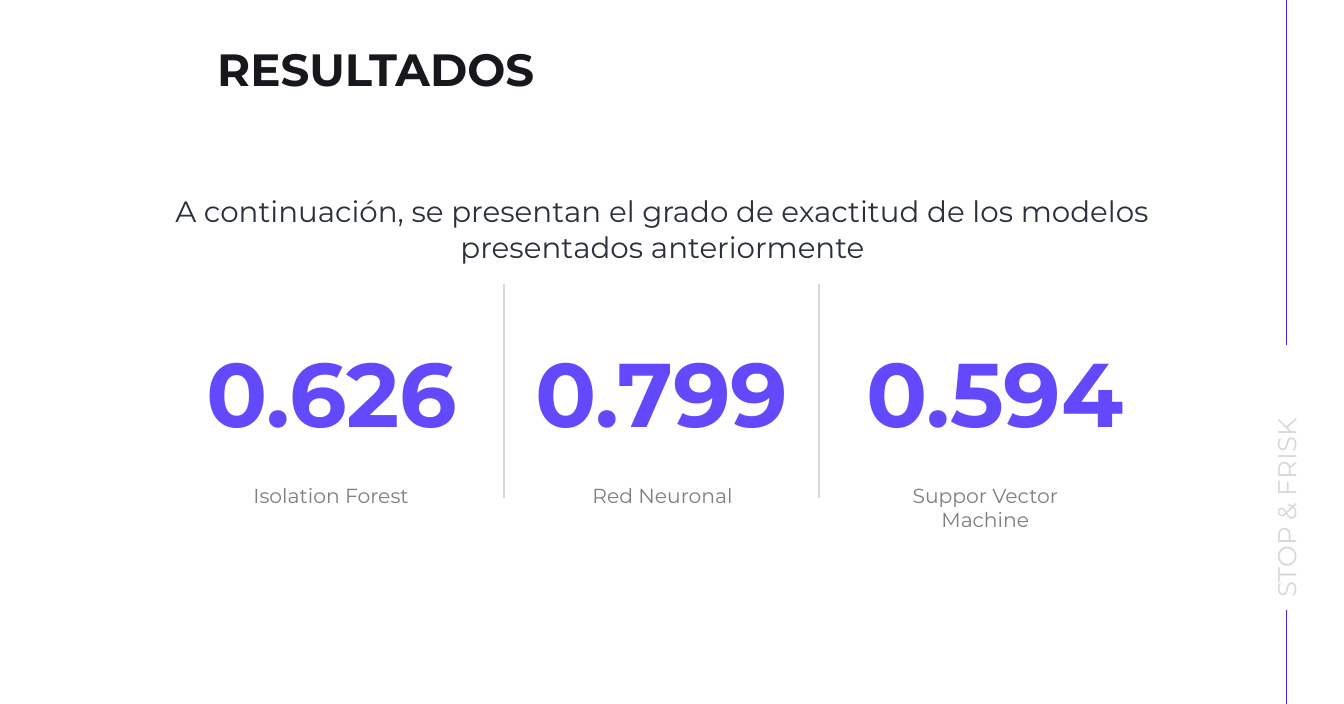
from lxml import etree
from pptx import Presentation
from pptx.dml.color import RGBColor
from pptx.enum import shapes, text
from pptx.oxml.ns import qn
from pptx.util import Cm, Pt

FONT = "Montserrat"
COLORS = {
    "title": "16181C", "intro": "2B303C", "score": "6349FC",
    "label": "7F7F7F", "pale": "D8D8D8", "accent": "4B22F4",
}
TITLE = "RESULTADOS"
INTRO = ("A continuación, se presentan el grado de exactitud de los modelos "
         "presentados anteriormente")
TAGLINE = "STOP & FRISK"
MODELS = [
    ("0.626", "Isolation Forest", 10.38, 10.35),
    ("0.799", "Red Neuronal", 20.69, 20.71),
    ("0.594", "Suppor Vector Machine", 31.1, 30.8),
]
SLIDE_W, SLIDE_H = 42.01, 22
SCORE_W, LABEL_W = 8.92, 7.09
RAIL_X = 40.21
LINES = [
    (RAIL_X, 0, 10.77, "accent", 1.5),
    (RAIL_X, 19.05, SLIDE_H, "accent", 1.5),
    (15.75, 8.86, 15.57, "pale", 2.25),
    (25.6, 8.86, 15.57, "pale", 2.25),
]


def rgb(name):
    return RGBColor.from_string(COLORS[name])


def write(sp, box, words, size, color, bold=False, center=True, middle=False):
    sp.left, sp.top, sp.width, sp.height = map(Cm, box)
    tf = sp.text_frame
    tf.word_wrap = True
    tf.auto_size = text.MSO_AUTO_SIZE.NONE
    tf.margin_left = tf.margin_right = tf.margin_top = tf.margin_bottom = Cm(0.41)
    tf.vertical_anchor = text.MSO_ANCHOR.MIDDLE if middle else text.MSO_ANCHOR.TOP
    p = tf.paragraphs[0]
    p.text = words
    p.alignment = text.PP_ALIGN.CENTER if center else text.PP_ALIGN.LEFT
    p.font.name, p.font.size, p.font.bold = FONT, Pt(size), bold
    p.font.color.rgb = rgb(color)


def add_text(s, box, *args, **kwargs):
    sp = s.shapes.add_textbox(0, 0, 0, 0)
    write(sp, box, *args, **kwargs)
    return sp


def add_line(s, x, top, bottom, color, width):
    line = s.shapes.add_connector(
        shapes.MSO_CONNECTOR.STRAIGHT, Cm(x), Cm(top), Cm(x), Cm(bottom))
    line.line.color.rgb = rgb(color)
    line.line.width = Pt(width)
    etree.SubElement(line._element.spPr, qn("a:effectLst"))


def main():
    prs = Presentation()
    prs.slide_width, prs.slide_height = Cm(SLIDE_W), Cm(SLIDE_H)
    s = prs.slides.add_slide(prs.slide_layouts[5])

    write(s.shapes.title, (6.38, 1.14, 25.6, 1.98), TITLE, 40, "title",
          bold=True, center=False, middle=True)
    for line in LINES:
        add_line(s, *line)
    tagline = add_text(s, (36.04, 14, 8.36, 1.83), TAGLINE, 23, "pale", center=False)
    tagline.rotation = 270
    for score, label, score_x, label_x in MODELS:
        add_text(s, (score_x - SCORE_W / 2, 8.46, SCORE_W, 7.52), score, 80, "score",
                 bold=True, middle=True)
        add_text(s, (label_x - LABEL_W / 2, 14.68, LABEL_W, 5.31), label, 18, "label")
    add_text(s, (4.09, 5.64, 33.25, 4.83), INTRO, 26, "intro")

    prs.save("out.pptx")


if __name__ == "__main__":
    main()
